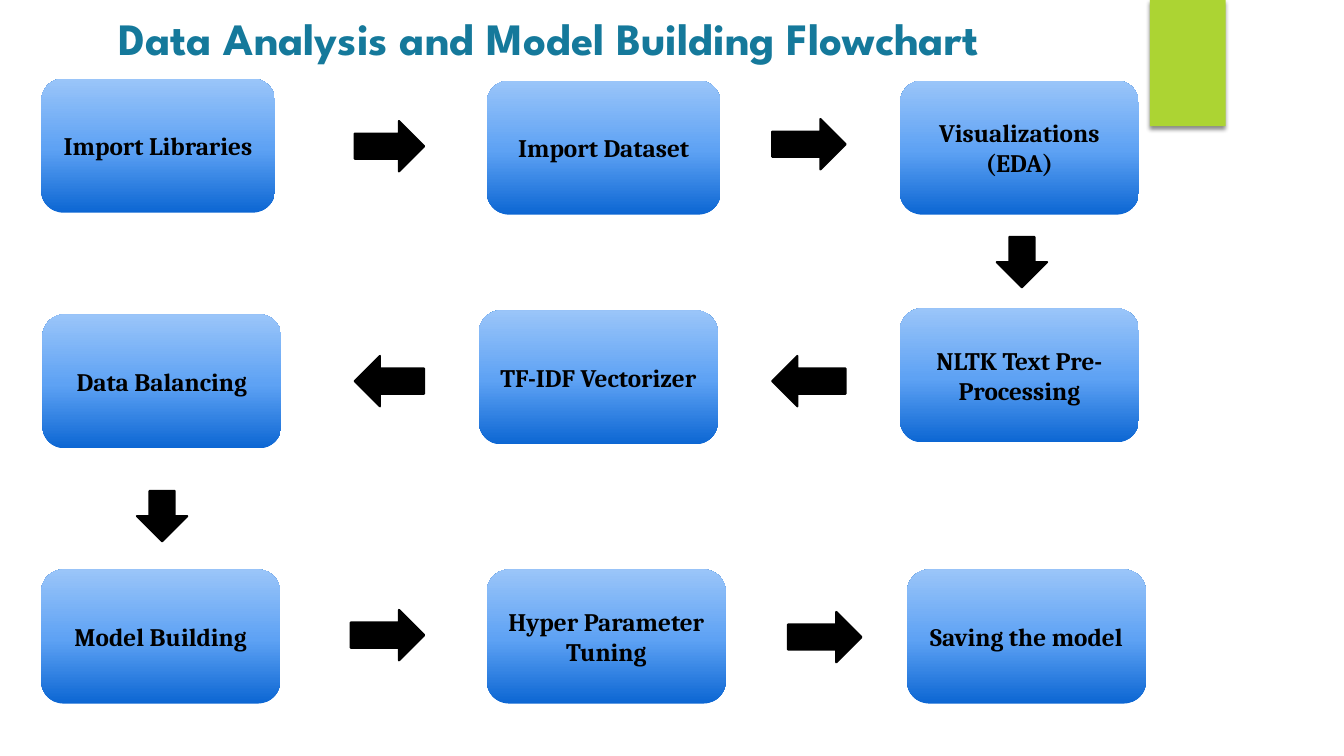
from copy import deepcopy
from dataclasses import dataclass

from lxml.etree import SubElement
from pptx import Presentation
from pptx.dml.color import RGBColor
from pptx.enum.shapes import MSO_SHAPE
from pptx.enum.text import MSO_ANCHOR, MSO_AUTO_SIZE, PP_ALIGN
from pptx.oxml.ns import qn
from pptx.util import Cm, Pt

TITLE = "Data Analysis and Model Building Flowchart"

STEPS = [
    ("Import Libraries", 1.04, 1.98, 5.89),
    ("Import Dataset", 12.27, 2.03, 5.89),
    ("Visualizations\n(EDA)", 22.68, 2.03, 6.02),
    ("NLTK Text Pre-Processing", 22.68, 7.77, 6.02),
    ("TF-IDF Vectorizer", 12.07, 7.82, 6.02),
    ("Data Balancing", 1.07, 7.92, 6.02),
    ("Model Building", 1.04, 14.35, 6.02),
    ("Hyper Parameter Tuning", 12.27, 14.35, 6.02),
    ("Saving the model", 22.86, 14.35, 6.02),
]
STEP_HEIGHT = 3.38

ARROWS = [
    (MSO_SHAPE.RIGHT_ARROW, 8.94, 3.05, 1.75),
    (MSO_SHAPE.RIGHT_ARROW, 19.46, 3.0, 1.85),
    (MSO_SHAPE.DOWN_ARROW, 25.12, 5.97, 1.27),
    (MSO_SHAPE.LEFT_ARROW, 19.46, 8.97, 1.85),
    (MSO_SHAPE.LEFT_ARROW, 8.94, 8.97, 1.75),
    (MSO_SHAPE.DOWN_ARROW, 3.45, 12.37, 1.27),
    (MSO_SHAPE.RIGHT_ARROW, 8.84, 15.37, 1.85),
    (MSO_SHAPE.RIGHT_ARROW, 19.86, 15.42, 1.85),
]
ARROW_HEIGHT = 1.27


@dataclass(frozen=True)
class Theme:
    title_color: str = "15799B"
    title_font: str = "League Spartan"
    title_size: int = 32
    step_font: str = "Cambria"
    step_size: int = 18
    ink: str = "000000"
    tab: str = "ACD433"
    gradient: tuple = ((0, "0C66D3"), (0.48, "5EA2F4"), (1, "9AC5F9"))


THEME = Theme()


def color(value):
    return RGBColor.from_string(value)


def write(shape, text, font_name, size, ink, anchor):
    frame = shape.text_frame
    frame.text = text
    frame.word_wrap = True
    frame.auto_size = MSO_AUTO_SIZE.NONE
    frame.vertical_anchor = anchor
    for paragraph in frame.paragraphs:
        paragraph.alignment = PP_ALIGN.CENTER
        for run in paragraph.runs:
            run.font.name = font_name
            run.font.size = Pt(size)
            run.font.bold = True
            run.font.color.rgb = color(ink)


def add_plain_shape(slide, kind, left, top, width, height):
    shape = slide.shapes.add_shape(kind, Cm(left), Cm(top), Cm(width), Cm(height))
    shape.shadow.inherit = False
    shape.line.fill.background()
    return shape


def fill_solid(shape, value):
    shape.fill.solid()
    shape.fill.fore_color.rgb = color(value)


def fill_gradient(shape):
    shape.fill.gradient()
    shape.fill.gradient_angle = 90
    stop_list = shape._element.spPr.find(qn("a:gradFill")).find(qn("a:gsLst"))
    stop_list.append(deepcopy(stop_list[-1]))
    for stop, (position, value) in zip(shape.fill.gradient_stops, THEME.gradient):
        stop.position = position
        stop.color.rgb = color(value)


def add_tab(slide):
    tab = add_plain_shape(slide, MSO_SHAPE.RECTANGLE, 28.98, 0, 1.91, 3.18)
    fill_solid(tab, THEME.tab)
    effects = tab._element.spPr.find(qn("a:effectLst"))
    shadow = SubElement(effects, qn("a:outerShdw"), blurRad=str(Pt(3)),
                        dist=str(Pt(2)), dir="5400000", rotWithShape="0")
    shade = SubElement(shadow, qn("a:srgbClr"), val=THEME.ink)
    SubElement(shade, qn("a:alpha"), val="45000")


def add_title(slide):
    title = slide.shapes.title
    title.left, title.top, title.width, title.height = Cm(0), Cm(0.13), Cm(27.69), Cm(2.39)
    write(title, TITLE, THEME.title_font, THEME.title_size, THEME.title_color, MSO_ANCHOR.TOP)


def add_step(slide, text, left, top, width):
    step = add_plain_shape(slide, MSO_SHAPE.FLOWCHART_ALTERNATE_PROCESS,
                           left, top, width, STEP_HEIGHT)
    fill_gradient(step)
    write(step, text, THEME.step_font, THEME.step_size, THEME.ink, MSO_ANCHOR.MIDDLE)


def add_arrow(slide, kind, left, top, width):
    arrow = add_plain_shape(slide, kind, left, top, width, ARROW_HEIGHT)
    fill_solid(arrow, THEME.ink)
    arrow.line.color.rgb = color(THEME.ink)
    arrow.line.width = Pt(1.5)


def main():
    presentation = Presentation()
    presentation.slide_width = Cm(33.87)
    presentation.slide_height = Cm(19.05)
    slide = presentation.slides.add_slide(presentation.slide_layouts[5])
    add_tab(slide)
    add_title(slide)
    for step in STEPS:
        add_step(slide, *step)
    for arrow in ARROWS:
        add_arrow(slide, *arrow)
    presentation.save("out.pptx")


if __name__ == "__main__":
    main()
